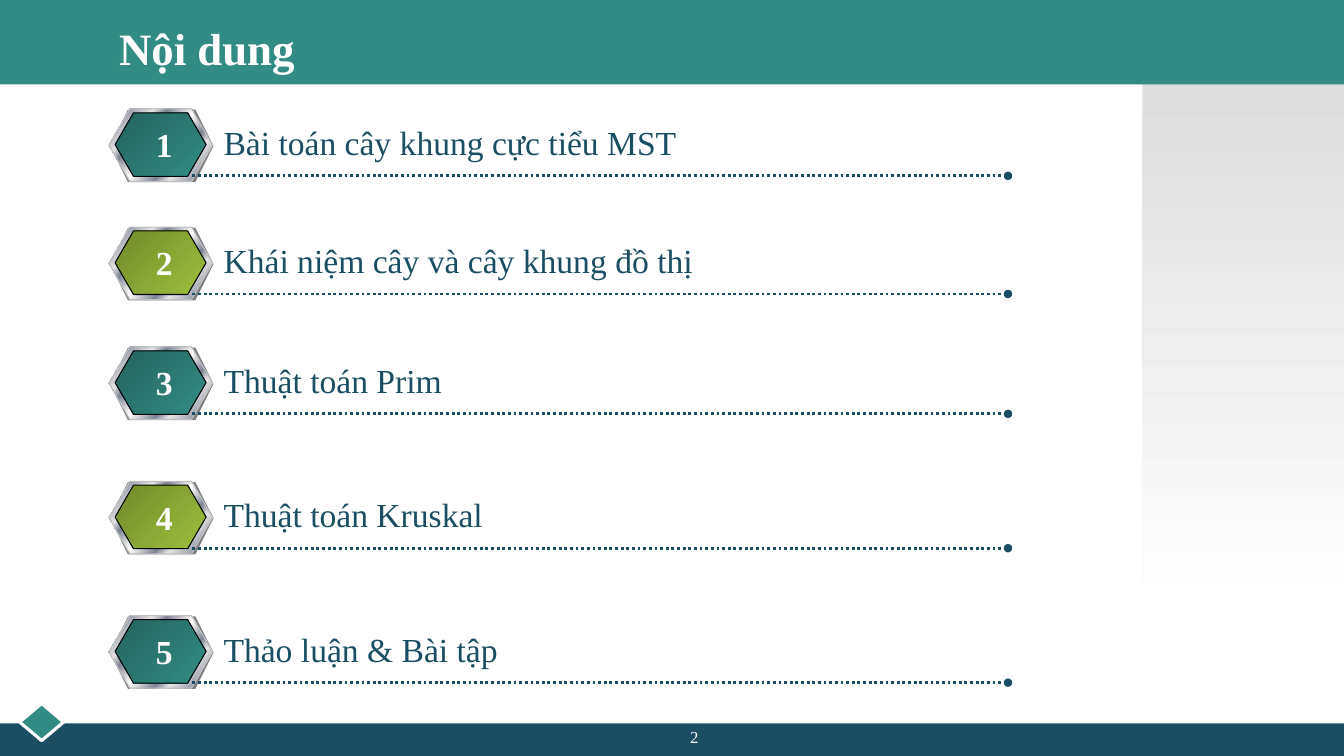
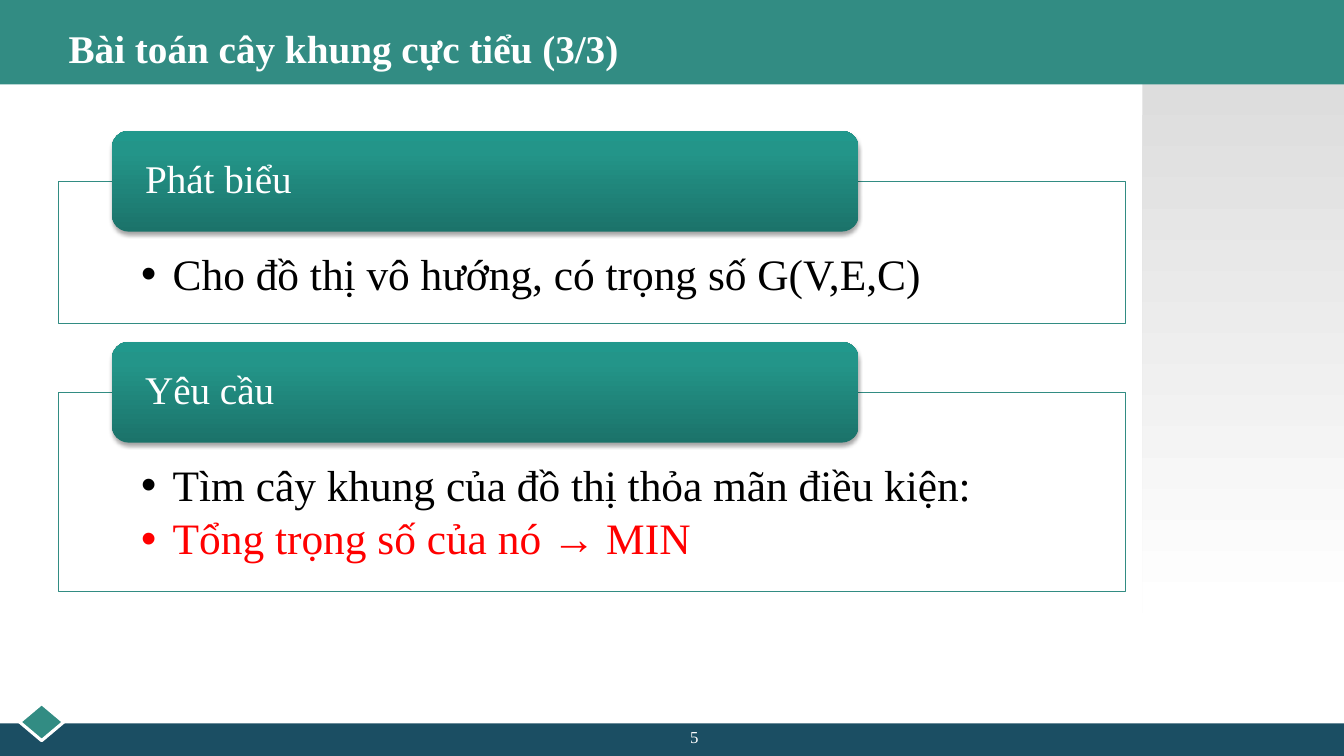
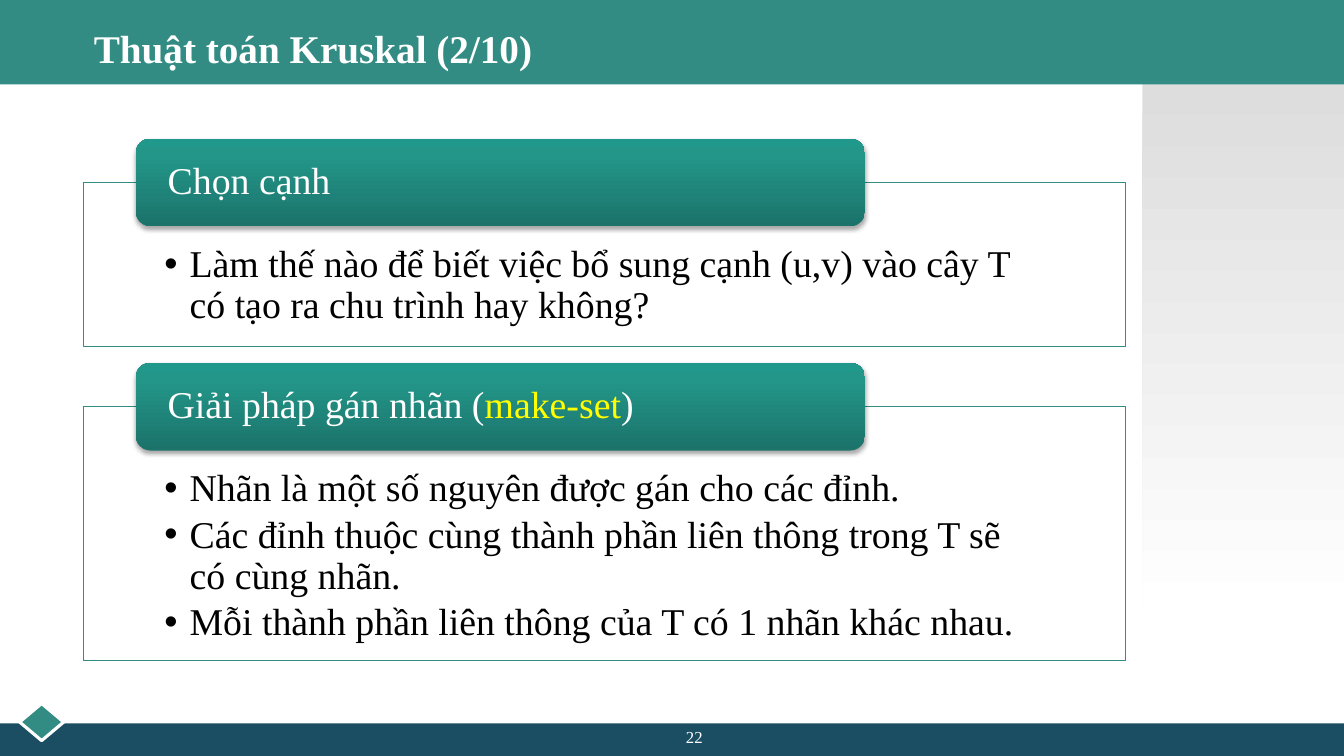
"""Build three lecture slides on minimum spanning trees."""
from dataclasses import dataclass
from typing import NamedTuple

from lxml import etree
from pptx import Presentation
from pptx.dml.color import RGBColor
from pptx.enum.dml import MSO_LINE
from pptx.enum.shapes import MSO_CONNECTOR, MSO_SHAPE
from pptx.enum.text import MSO_ANCHOR, MSO_AUTO_SIZE, PP_ALIGN
from pptx.oxml.ns import qn
from pptx.util import Pt

RECTANGLE, DIAMOND = MSO_SHAPE.RECTANGLE, MSO_SHAPE.DIAMOND
HEXAGON, ROUNDED = MSO_SHAPE.HEXAGON, MSO_SHAPE.ROUNDED_RECTANGLE
STRAIGHT, DOTTED = MSO_CONNECTOR.STRAIGHT, MSO_LINE.ROUND_DOT
TOP, MIDDLE = MSO_ANCHOR.TOP, MSO_ANCHOR.MIDDLE
LEFT, CENTER = PP_ALIGN.LEFT, PP_ALIGN.CENTER
NO_FIT = MSO_AUTO_SIZE.NONE

FONT = "Times New Roman"
TEAL, NAVY = "328C83", "1B4E63"
WHITE, BLACK, RED, YELLOW = "FFFFFF", "000000", "FF0000", "FFFF00"
GRAY, SILVER = "808080", "C0C0C0"

SIDE_STOPS = ((0, "DDDDDD"), (100, WHITE))
TEAL_STOPS = ((0, "24645E"), (100, TEAL))
OLIVE_STOPS = ((0, "70892B"), (100, "9DC03C"))
HEADER_STOPS = ((0, "1B736A"), (80, "239589"), (100, "21988C"))
METAL_STOPS = (
    (0, "E6E6E6"), (7, "7D8496"), (26, "E6E6E6"), (34, "7D8496"),
    (46, "E6E6E6"), (50, WHITE), (54, "E6E6E6"), (66, "7D8496"),
    (74, "E6E6E6"), (93, "7D8496"), (100, "E6E6E6"),
)


class Box(NamedTuple):
    """Position and size in points."""
    left: float
    top: float
    width: float
    height: float

    def lengths(self) -> list:
        """Return the four lengths for python-pptx."""
        return [Pt(value) for value in self]


class Segment(NamedTuple):
    """A stretch of text in one colour."""
    text: str
    color: str


@dataclass(frozen=True)
class AgendaRow:
    """One numbered agenda line."""
    top: float
    label: str


@dataclass(frozen=True)
class Panel:
    """A framed list under a header."""
    top: float
    height: float
    header: list[Segment]
    items: list[Segment]


@dataclass(frozen=True)
class PanelStyle:
    """Measures shared by the panels of one slide."""
    left: float
    width: float
    header_height: float
    header_size: float
    item_size: float
    indent: float


AGENDA = [
    AgendaRow(77.8, "Bài toán cây khung cực tiểu MST"),
    AgendaRow(162.2, "Khái niệm cây và cây khung đồ thị"),
    AgendaRow(247.8, "Thuật toán Prim"),
    AgendaRow(343.8, "Thuật toán Kruskal"),
    AgendaRow(439.8, "Thảo luận & Bài tập"),
]
PROBLEM_STYLE = PanelStyle(41.8, 762, 72, 28, 31, 22.5)
PROBLEM_PANELS = [
    Panel(129.5, 101.5, [Segment("Phát biểu", WHITE)],
          [Segment("Cho đồ thị vô hướng, có trọng số G(V,E,C)", BLACK)]),
    Panel(280.2, 142.3, [Segment("Yêu cầu", WHITE)],
          [Segment("Tìm cây khung của đồ thị thỏa mãn điều kiện:", BLACK),
           Segment("Tổng trọng số của nó → MIN", RED)]),
]
KRUSKAL_STYLE = PanelStyle(59.8, 744, 62.7, 27, 27, 18)
KRUSKAL_PANELS = [
    Panel(130.4, 117.2, [Segment("Chọn cạnh", WHITE)],
          [Segment("Làm thế nào để biết việc bổ sung cạnh (u,v) vào cây T "
                   "có tạo ra chu trình hay không?", BLACK)]),
    Panel(290.5, 181, [Segment("Giải pháp gán nhãn (", WHITE),
                       Segment("make-set", YELLOW), Segment(")", WHITE)],
          [Segment("Nhãn là một số nguyên được gán cho các đỉnh.", BLACK),
           Segment("Các đỉnh thuộc cùng thành phần liên thông trong T sẽ "
                   "có cùng nhãn.", BLACK),
           Segment("Mỗi thành phần liên thông của T có 1 nhãn khác nhau.", BLACK)]),
]


def rgb(color: str) -> RGBColor:
    """Turn a hex string into a colour."""
    return RGBColor.from_string(color)


def place(shape, box: Box) -> None:
    """Move and size a shape."""
    shape.left, shape.top, shape.width, shape.height = box.lengths()


def set_font(font, size: float, color: str, bold: bool = False) -> None:
    """Format a font."""
    font.name, font.size, font.bold = FONT, Pt(size), bold
    font.color.rgb = rgb(color)


def set_line(line, color: str, width: float) -> None:
    """Format an outline."""
    line.color.rgb = rgb(color)
    line.width = Pt(width)


def add_shape(slide, kind, box: Box, fill: str | None = None,
              outline: str | None = None, outline_width: float = 0.75):
    """Add a preset shape without shadow."""
    shape = slide.shapes.add_shape(kind, *box.lengths())
    shape.shadow.inherit = False
    if fill:
        shape.fill.solid()
        shape.fill.fore_color.rgb = rgb(fill)
    if outline:
        set_line(shape.line, outline, outline_width)
    else:
        shape.line.fill.background()
    return shape


def set_gradient(shape, stops: tuple, angle: float) -> None:
    """Fill a shape with a linear gradient, its angle counted clockwise."""
    shape.fill.gradient()
    shape.fill.gradient_angle = 360 - angle
    stop_list = shape.element.spPr.find(qn("a:gradFill")).find(qn("a:gsLst"))
    for stop in list(stop_list):
        stop_list.remove(stop)
    for position, color in stops:
        stop = etree.SubElement(stop_list, qn("a:gs"), pos=str(position * 1000))
        etree.SubElement(stop, qn("a:srgbClr"), val=color)


def add_soft_shadow(shape) -> None:
    """Give a shape a faint shadow below it."""
    effects = shape.element.spPr.find(qn("a:effectLst"))
    shadow = etree.SubElement(
        effects, qn("a:outerShdw"), blurRad=str(int(Pt(3.1))),
        dist=str(int(Pt(1.8))), dir="5400000", rotWithShape="0")
    color = etree.SubElement(shadow, qn("a:srgbClr"), val=BLACK)
    etree.SubElement(color, qn("a:alpha"), val="35000")


def add_text(slide, box: Box, text: str, size: float, color: str,
             bold: bool = False, alignment=LEFT) -> None:
    """Add a one-paragraph text box."""
    frame = slide.shapes.add_textbox(*box.lengths()).text_frame
    frame.word_wrap = True
    paragraph = frame.paragraphs[0]
    paragraph.text = text
    paragraph.alignment = alignment
    set_font(paragraph.font, size, color, bold)


def add_dotted_line(slide, left: float, right: float, top: float) -> None:
    """Add a dotted rule that ends in a dot."""
    connector = slide.shapes.add_connector(
        STRAIGHT, Pt(left), Pt(top), Pt(right), Pt(top))
    set_line(connector.line, NAVY, 2)
    connector.line.dash_style = DOTTED
    outline = connector.element.spPr.find(qn("a:ln"))
    etree.SubElement(outline, qn("a:tailEnd"), type="oval")
    etree.SubElement(connector.element.spPr, qn("a:effectLst"))


def decorate_master(presentation, slide) -> None:
    """Draw the shared bands on a slide and move them to the master."""
    side = add_shape(slide, RECTANGLE, Box(816, 60, 144, 378))
    set_gradient(side, SIDE_STOPS, 90)
    decorations = [
        side,
        add_shape(slide, RECTANGLE, Box(0, 0, 960, 60.3), TEAL),
        add_shape(slide, RECTANGLE, Box(0, 516.8, 960, 23.2), NAVY),
        add_shape(slide, DIAMOND, Box(14, 502.5, 31.5, 26.5), TEAL, WHITE, 2.25),
    ]
    master_tree = presentation.slide_master.shapes.element
    for index, shape in enumerate(decorations):
        shape.element.nvSpPr.cNvPr.set("id", str(100 + index))
        master_tree.insert(2 + index, shape.element)


def set_title(slide, text: str, left: float, width: float, size: float) -> None:
    """Fill and format the title placeholder."""
    title = slide.shapes.title
    place(title, Box(left, 12, width, 44.5))
    frame = title.text_frame
    frame.auto_size, frame.vertical_anchor = NO_FIT, MIDDLE
    paragraph = frame.paragraphs[0]
    paragraph.text = text
    paragraph.alignment = LEFT
    set_font(paragraph.font, size, WHITE, True)


def add_page_number(slide, number: int) -> None:
    """Write the page number on the lower band."""
    add_text(slide, Box(384, 515.8, 224, 19), str(number), 12, WHITE, alignment=CENTER)


def add_agenda_row(slide, row: AgendaRow, number: int) -> None:
    """Draw a numbered hexagon, its label and its rule."""
    stops = TEAL_STOPS if number % 2 else OLIVE_STOPS
    add_shape(slide, HEXAGON, Box(78.5, row.top + 0.5, 74, 51.8), GRAY)
    rim = add_shape(slide, HEXAGON, Box(77.8, row.top, 74, 51.8), outline=SILVER)
    set_gradient(rim, METAL_STOPS, 45)
    face = add_shape(slide, HEXAGON, Box(82.2, row.top + 2.8, 65, 45.4), outline=BLACK)
    set_gradient(face, stops, 45)
    for hexagon in (rim, face):
        hexagon.adjustments[0] = 0.29
    add_dotted_line(slide, 137.5, 720, row.top + 47.8)
    add_text(slide, Box(152.6, row.top + 5.8, 480, 36), row.label, 24, NAVY)
    add_text(slide, Box(100.8, row.top + 7.4, 33, 36), str(number), 24, WHITE, True, CENTER)


def fill_list(placeholder, panel: Panel, style: PanelStyle) -> None:
    """Turn a body placeholder into a framed bullet list."""
    place(placeholder, Box(style.left, panel.top, style.width, panel.height))
    placeholder.fill.solid()
    placeholder.fill.fore_color.rgb = rgb(WHITE)
    set_line(placeholder.line, TEAL, 0.75)
    frame = placeholder.text_frame
    frame.auto_size, frame.vertical_anchor = NO_FIT, TOP
    frame.margin_left = frame.margin_right = Pt(style.width * 0.0775)
    frame.margin_top = Pt(style.header_height * 0.71)
    frame.margin_bottom = Pt(0)
    for index, item in enumerate(panel.items):
        paragraph = frame.add_paragraph() if index else frame.paragraphs[0]
        paragraph.text = item.text
        paragraph.line_spacing = 0.9
        paragraph.space_before = Pt(0)
        paragraph.space_after = Pt(style.item_size * 0.15)
        set_font(paragraph.font, style.item_size, item.color)
        properties = paragraph._p.get_or_add_pPr()
        properties.set("marL", str(int(Pt(style.indent))))
        properties.set("indent", str(-int(Pt(style.indent))))


def add_header(slide, panel: Panel, style: PanelStyle) -> None:
    """Draw the rounded header across the top edge of a panel."""
    box = Box(style.left + style.width * 0.05, panel.top - style.header_height / 2,
              style.width * 0.7, style.header_height)
    header = add_shape(slide, ROUNDED, box)
    set_gradient(header, HEADER_STOPS, 270)
    add_soft_shadow(header)
    frame = header.text_frame
    frame.word_wrap, frame.vertical_anchor = True, MIDDLE
    frame.margin_left = frame.margin_right = Pt(style.width * 0.0265)
    frame.margin_top = frame.margin_bottom = Pt(0)
    paragraph = frame.paragraphs[0]
    paragraph.alignment, paragraph.line_spacing = LEFT, 0.9
    set_font(paragraph.font, style.header_size, WHITE)
    for segment in panel.header:
        run = paragraph.add_run()
        run.text = segment.text
        run.font.color.rgb = rgb(segment.color)


def add_panel_slide(presentation, title: str, number: int,
                    style: PanelStyle, panels: list[Panel]) -> None:
    """Add a slide with two headed lists."""
    slide = presentation.slides.add_slide(presentation.slide_layouts[3])
    set_title(slide, title, style.left, style.width, 28)
    for index, panel in enumerate(panels, start=1):
        fill_list(slide.placeholders[index], panel, style)
        add_header(slide, panel, style)
    add_page_number(slide, number)


def main() -> None:
    """Build and save the presentation."""
    presentation = Presentation()
    presentation.slide_width, presentation.slide_height = Pt(960), Pt(540)
    agenda = presentation.slides.add_slide(presentation.slide_layouts[5])
    decorate_master(presentation, agenda)
    set_title(agenda, "Nội dung", 77.8, 726, 32)
    for number, row in enumerate(AGENDA, start=1):
        add_agenda_row(agenda, row, number)
    add_page_number(agenda, 2)
    add_panel_slide(presentation, "Bài toán cây khung cực tiểu (3/3)", 5,
                    PROBLEM_STYLE, PROBLEM_PANELS)
    add_panel_slide(presentation, "Thuật toán Kruskal (2/10)", 22,
                    KRUSKAL_STYLE, KRUSKAL_PANELS)
    presentation.save("out.pptx")


if __name__ == "__main__":
    main()
